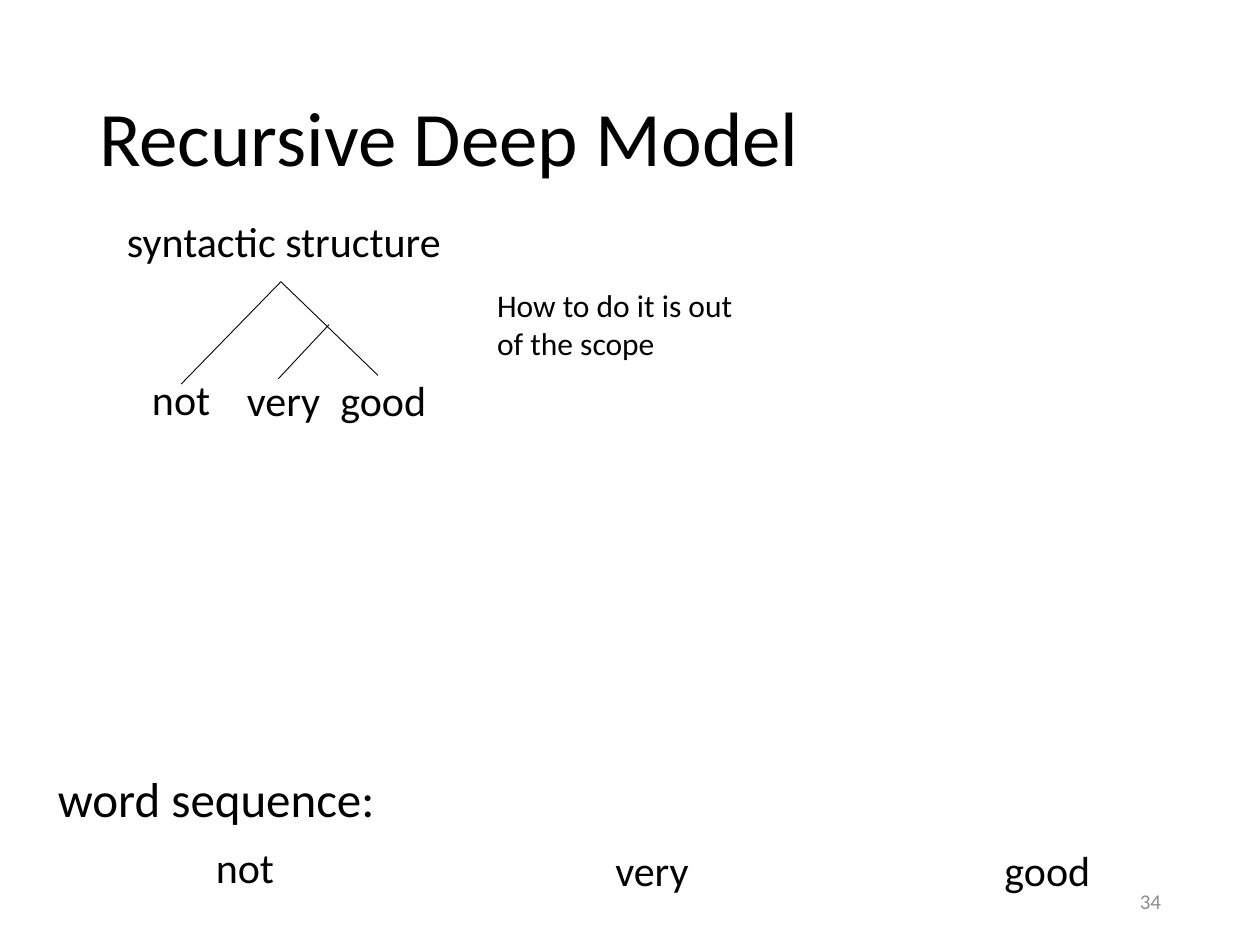
from pptx import Presentation
from pptx.dml.color import RGBColor
from pptx.enum.shapes import MSO_CONNECTOR
from pptx.enum.text import MSO_ANCHOR, PP_ALIGN
from pptx.oxml.ns import qn
from pptx.util import Pt
from lxml import etree

FONT = "Calibri"
BLACK = "000000"
GREY = "8C8C8C"


def rgb(hex_color):
    return RGBColor.from_string(hex_color)


def format_text(tf, text, size, color=BLACK, align=PP_ALIGN.LEFT,
                anchor=MSO_ANCHOR.TOP):
    tf.word_wrap = True
    tf.vertical_anchor = anchor
    p = tf.paragraphs[0]
    p.text = text
    p.alignment = align
    p.font.name = FONT
    p.font.size = Pt(size)
    p.font.color.rgb = rgb(color)
    return p


def add_text(shapes, box, text, size, **style):
    sp = shapes.add_textbox(*(Pt(v) for v in box))
    format_text(sp.text_frame, text, size, **style)


def add_branch(shapes, start, end):
    line = shapes.add_connector(MSO_CONNECTOR.STRAIGHT,
                                *(Pt(v) for v in (*start, *end)))
    line.line.color.rgb = rgb(BLACK)
    line.line.width = Pt(0.5)
    etree.SubElement(line._element.spPr, qn("a:effectLst"))


def add_title(s, box, text):
    sp = s.shapes.title
    sp.left, sp.top, sp.width, sp.height = (Pt(v) for v in box)
    p = format_text(sp.text_frame, text, 44, anchor=MSO_ANCHOR.MIDDLE)
    p.line_spacing = 0.9


def add_words(shapes, x, y, words):
    """Centred words, each given as (text, left, top, width) from x, y."""
    for text, left, top, width in words:
        add_text(shapes, (x + left, y + top, width, 36), text, 24,
                 align=PP_ALIGN.CENTER)


def add_tree(s, x, y):
    shapes = s.shapes.add_group_shape().shapes
    add_words(shapes, x, y, [("not", 0, 49, 57), ("very", 44.5, 49.5, 85),
                             ("good", 101.5, 49.5, 85)])
    # Branches from the root to the outer words, and from the inner node
    root, inner = (x + 85.5, y), (x + 113, y + 24.5)
    add_branch(shapes, root, (x + 141, y + 53.5))
    add_branch(shapes, inner, (x + 84, y + 55.5))
    add_branch(shapes, root, (x + 28.5, y + 58.5))


def add_sequence(s, x, y):
    add_text(s.shapes, (x, y, 212, 41), "word sequence:", 28)
    add_words(s.shapes, x, y, [("not", 85.5, 42, 57), ("very", 304, 43.5, 85),
                               ("good", 530, 43.5, 85)])


def main():
    prs = Presentation()
    prs.slide_width, prs.slide_height = Pt(720), Pt(540)
    s = prs.slides.add_slide(prs.slide_layouts[5])

    add_title(s, (49.5, 29, 621, 104), "Recursive Deep Model")

    # Syntactic structure with its side note
    add_text(s.shapes, (56, 119.5, 212.5, 36), "syntactic structure", 24,
             align=PP_ALIGN.CENTER)
    add_tree(s, 75, 161)
    add_text(s.shapes, (277, 160, 163.5, 51),
             "How to do it is out of the scope", 18)

    # Word sequence along the bottom
    add_sequence(s, 26, 435.5)

    # Slide number
    add_text(s.shapes, (508.5, 500.5, 162, 29), "34", 12, color=GREY,
             align=PP_ALIGN.RIGHT, anchor=MSO_ANCHOR.MIDDLE)

    prs.save("out.pptx")


if __name__ == "__main__":
    main()
